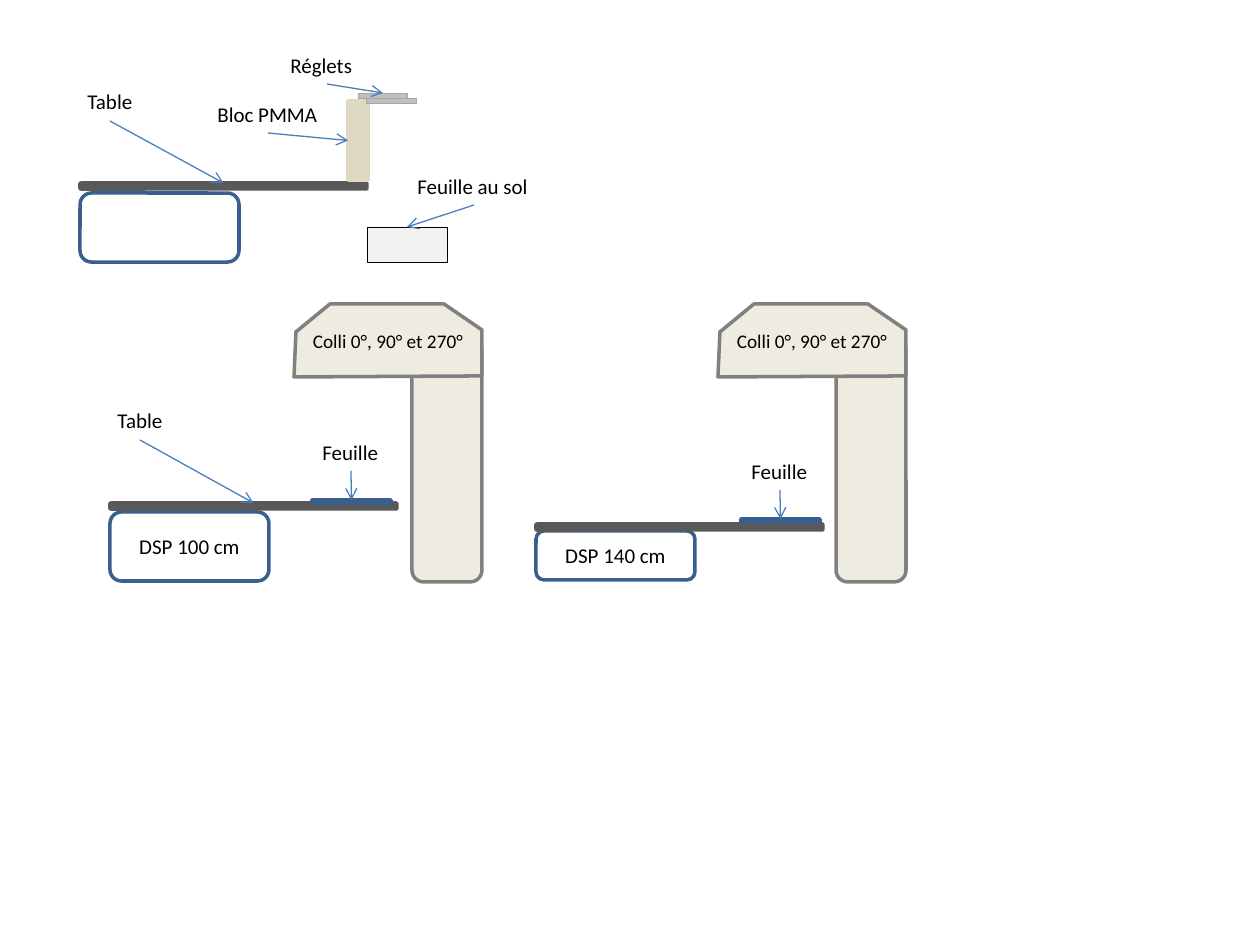
from lxml import etree
from pptx import Presentation
from pptx import util as u
from pptx.dml.color import RGBColor
from pptx.enum import shapes, text
from pptx.oxml.ns import qn

RECT = shapes.MSO_SHAPE.RECTANGLE
ROUND = shapes.MSO_SHAPE.ROUNDED_RECTANGLE
TOP, LEFT = 0, 1
HEAD = [(36, 0), (150, 0), (188, 26), (188, 72), (0, 73), (2, 28)]


def rgb(value):
    return RGBColor.from_string(value)


class Sketch:
    """Draws set-up diagrams on one slide, with lengths in px."""

    PX = 914400 / 126
    FONT, INK, BLUE, ARROW = "Calibri", "000000", "3A5F8C", "4B7EBC"
    DARK, CREAM, GREY = "595959", "EEECE1", "808080"

    def __init__(self, prs):
        prs.slide_width, prs.slide_height = self.emu(1260, 945)
        self.s = prs.slides.add_slide(prs.slide_layouts[6])

    def emu(self, *lengths):
        return [u.Emu(round(n * self.PX)) for n in lengths]

    def style(self, sp, fill, line, width):
        sp.shadow.inherit = False
        if fill:
            sp.fill.solid()
            sp.fill.fore_color.rgb = rgb(fill)
        else:
            sp.fill.background()
        sp.line.color.rgb = rgb(line)
        sp.line.width = u.Pt(width)
        return sp

    def set_text(self, sp, words, size=12, align=text.PP_ALIGN.CENTER):
        tf = sp.text_frame
        p = tf.paragraphs[0]
        p.text, p.alignment = words, align
        p.font.name, p.font.size = self.FONT, u.Pt(size)
        p.font.color.rgb = rgb(self.INK)
        return tf

    def box(self, kind, x, y, w, h, fill, line, width=2):
        sp = self.s.shapes.add_shape(kind, *self.emu(x, y, w, h))
        return self.style(sp, fill, line, width)

    def label(self, words, x, y, w):
        sp = self.s.shapes.add_textbox(*self.emu(x, y, w, 38))
        self.set_text(sp, words, align=text.PP_ALIGN.LEFT).word_wrap = False

    def arrow(self, x, y, target, side=TOP):
        cx = self.s.shapes.add_connector(
            shapes.MSO_CONNECTOR.STRAIGHT, *self.emu(x, y, x, y))
        cx.end_connect(target, side)
        cx.line.color.rgb = rgb(self.ARROW)
        cx.line.width = u.Pt(0.75)
        sp_pr = cx._element.spPr
        etree.SubElement(sp_pr.find(qn("a:ln")), qn("a:tailEnd"), type="arrow")
        etree.SubElement(sp_pr, qn("a:effectLst"))

    def table(self, x, y, base_y, base_h, words=""):
        base = self.box(ROUND, x, base_y, 159, base_h, None, self.BLUE)
        if words:
            self.set_text(base, words)
        return self.box(ROUND, x, y, 287, 6, self.DARK, self.DARK)

    def table_label(self, x, y, top):
        self.arrow(x + 30, y + 39, top)
        self.label("Table", x - 5, y, 71)

    def sheet(self, x, y):
        sp = self.box(RECT, x, y, 79, 3, "4F81BD", self.BLUE)
        self.arrow(x + 39, y - 29, sp)
        self.label("Feuille", x - 2, y - 67, 82)

    def gantry(self, x, y):
        self.box(ROUND, x + 118, y + 36, 70, 242, self.CREAM, self.GREY)
        points = [(x + dx, y + dy) for dx, dy in HEAD]
        fb = self.s.shapes.build_freeform(*points[0], scale=self.PX)
        fb.add_line_segments(points[1:], close=True)
        sp = self.style(fb.convert_to_shape(), self.CREAM, self.GREY, 2)
        tf = self.set_text(sp, "Colli 0°, 90° et 270°", 11)
        tf.vertical_anchor = text.MSO_ANCHOR.MIDDLE

    def ruler(self, x, y):
        return self.box(RECT, x, y, 50, 5, "BFBFBF", "A6A6A6", 0.5)


def main():
    prs = Presentation()
    d = Sketch(prs)

    top = d.table(110, 503, 512, 69, "DSP 100 cm")
    d.table_label(110, 401, top)
    d.table(536, 524, 531, 49, "DSP 140 cm")
    for x, y in [(312, 500), (741, 519)]:
        d.sheet(x, y)
    for x in (294, 718):
        d.gantry(x, 304)

    top = d.table(80, 183, 193, 69)
    block = d.box(RECT, 348, 101, 20, 79, "DDD9C3", "DDD9C3")
    d.ruler(367, 98)
    d.table_label(80, 82, top)
    ruler = d.ruler(358, 93)
    floor = d.box(RECT, 367, 227, 80, 35, "F2F2F2", "000000", 0.25)
    d.arrow(474, 205, floor)
    d.label("Feuille au sol", 405, 167, 137)
    d.arrow(268, 133, block, LEFT)
    d.label("Bloc PMMA", 205, 95, 126)
    d.arrow(327, 84, ruler)
    d.label("Réglets", 278, 46, 98)

    prs.save("out.pptx")


if __name__ == "__main__":
    main()
